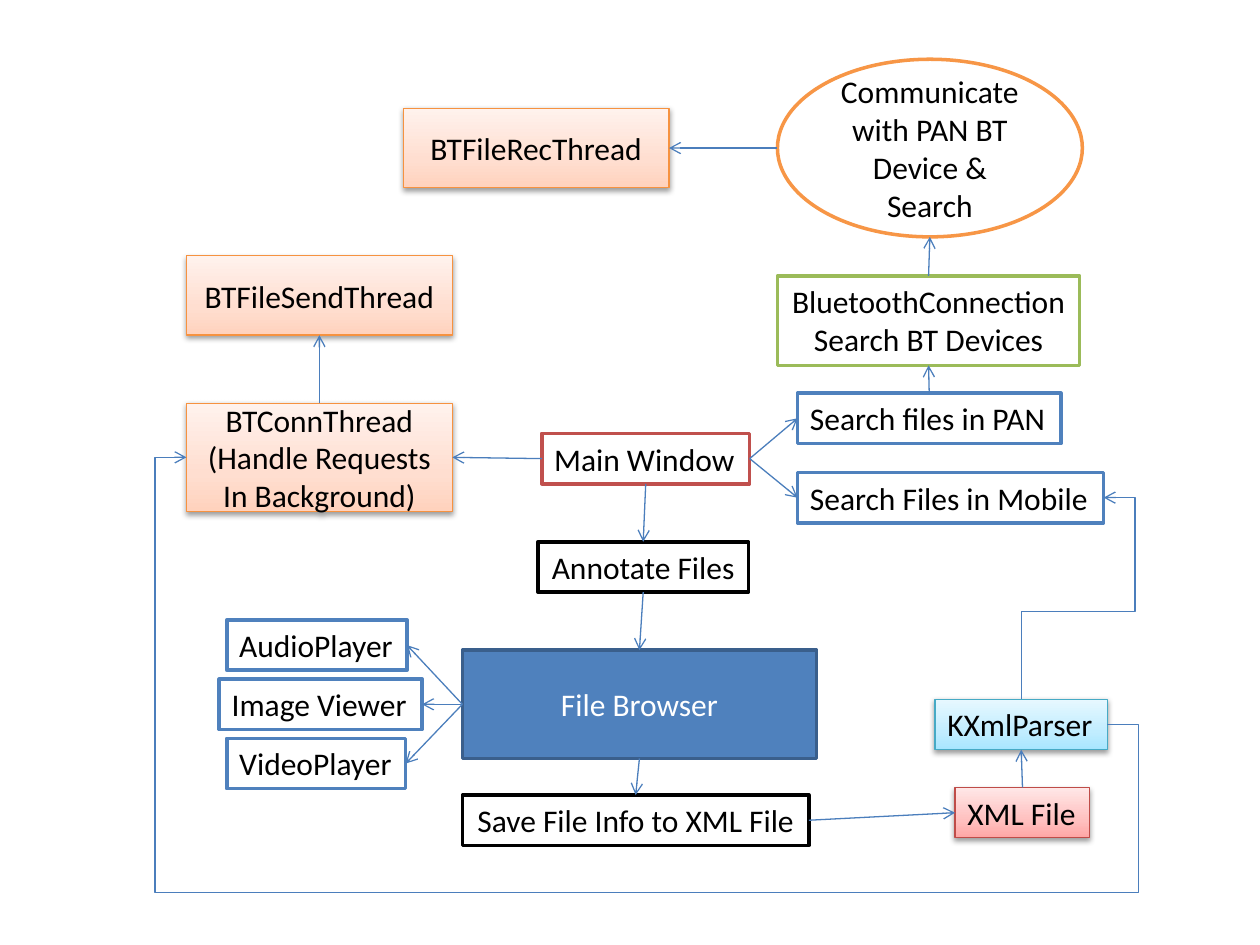
from dataclasses import dataclass
from typing import Optional

from lxml import etree
from pptx import Presentation
from pptx import util as u
from pptx.dml.color import RGBColor
from pptx.enum import shapes, text
from pptx.oxml.ns import qn

TOP, LEFT, BOTTOM, RIGHT = range(4)
LINK_COLOR = "4B7EBC"


@dataclass(frozen=True)
class Style:
    line: str
    fills: tuple[str, ...] = ("FFFFFF",)
    weight: float = 2
    ink: str = "000000"


@dataclass(frozen=True)
class Node:
    name: str
    label: str
    left: float
    top: float
    width: float
    height: float
    style: Style
    centred: bool = True
    hugs_text: bool = False
    shape: shapes.MSO_SHAPE = shapes.MSO_SHAPE.RECTANGLE


@dataclass(frozen=True)
class Link:
    start: str
    start_side: int
    end: str
    end_side: int


@dataclass(frozen=True)
class Bend:
    """Preset geometry of an elbow link; quarter_turn means it leaves vertically."""
    preset: str
    adjustments: tuple[int, ...]
    quarter_turn: bool = False


THREAD = Style("F69240", ("FFD2BD", "FFDED0", "FFF2ED"), 0.75)
PARSER = Style("46AAC5", ("A7E6FF", "C1EDFF", "E7F8FF"), 0.75)
XML = Style("BF4C48", ("FFA6A5", "FFC0BF", "FFE7E7"), 0.75)
BLUE, BLACK = Style("4F81BD"), Style("000000")
BROWSER = Style("3A5F8C", ("4F81BD",), ink="FFFFFF")


def label_node(name: str, label: str, left: float, top: float, width: float,
               style: Style, centred: bool = False, height: float = 0.4) -> Node:
    return Node(name, label, left, top, width, height, style, centred, True)


NODES = [
    Node("send", "BTFileSendThread", 1.48, 2.03, 2.11, 0.63, THREAD),
    Node("conn", "BTConnThread\n(Handle Requests In Background)",
         1.48, 3.2, 2.11, 0.86, THREAD),
    Node("receive", "BTFileRecThread", 3.2, 0.86, 2.11, 0.63, THREAD),
    label_node("main", "Main Window", 4.3, 3.44, 1.65, Style("C0504D")),
    label_node("mobile", "Search Files in Mobile", 6.33, 3.75, 2.43, BLUE),
    label_node("pan", "Search files in PAN", 6.33, 3.12, 2.09, BLUE),
    label_node("annotate", "Annotate Files", 4.27, 4.3, 1.67, BLACK, True),
    label_node("bluetooth", "BluetoothConnection\nSearch BT Devices",
               6.17, 2.19, 2.4, Style("9BBB59"), True, 0.71),
    Node("communicate", "Communicate with PAN BT Device & Search",
         6.17, 0.47, 2.42, 1.41, Style("F79646"), shape=shapes.MSO_SHAPE.OVAL),
    Node("browser", "File Browser", 3.67, 5.16, 2.81, 0.86, BROWSER),
    label_node("audio", "AudioPlayer", 1.8, 4.92, 1.43, BLUE),
    label_node("image", "Image Viewer", 1.74, 5.39, 1.61, BLUE),
    label_node("video", "VideoPlayer", 1.8, 5.86, 1.42, BLUE),
    label_node("parser", "KXmlParser", 7.42, 5.55, 1.37, PARSER),
    label_node("save", "Save File Info to XML File", 3.67, 6.31, 2.75, BLACK, True),
    label_node("xml", "XML File", 7.58, 6.25, 1.07, XML),
]

LINKS = [
    Link("main", LEFT, "conn", RIGHT),
    Link("main", RIGHT, "mobile", LEFT),
    Link("main", RIGHT, "pan", LEFT),
    Link("main", BOTTOM, "annotate", TOP),
    Link("pan", TOP, "bluetooth", BOTTOM),
    Link("bluetooth", TOP, "communicate", BOTTOM),
    Link("communicate", LEFT, "receive", RIGHT),
    Link("browser", LEFT, "audio", RIGHT),
    Link("browser", LEFT, "image", RIGHT),
    Link("browser", LEFT, "video", RIGHT),
    Link("annotate", BOTTOM, "browser", TOP),
    Link("conn", TOP, "send", BOTTOM),
    Link("browser", BOTTOM, "save", TOP),
    Link("save", RIGHT, "xml", LEFT),
    Link("xml", TOP, "parser", BOTTOM),
]

BENT_LINKS = [
    (Link("parser", TOP, "mobile", RIGHT),
     Bend("bentConnector4", (43700, 138000), True)),
    (Link("parser", RIGHT, "conn", LEFT),
     Bend("bentConnector5", (-3400, -63000, 103400))),
]


def rgb(value: str) -> RGBColor:
    return RGBColor.from_string(value)


def add_color(parent, value: str):
    return etree.SubElement(parent, qn("a:srgbClr"), val=value)


def fill_gradient(box, colors: tuple[str, ...]) -> None:
    """Blend three colours from the bottom up and cast a soft shadow."""
    box.fill.gradient()
    box.fill.gradient_angle = 90
    stops = box._element.spPr.find(".//" + qn("a:gsLst"))
    for stop in list(stops):
        stops.remove(stop)
    for position, color in zip((0, 35000, 100000), colors):
        add_color(etree.SubElement(stops, qn("a:gs"), pos=str(position)), color)
    effects = box._element.spPr.find(qn("a:effectLst"))
    shadow = etree.SubElement(effects, qn("a:outerShdw"), blurRad="40000",
                              dist="20000", dir="5400000", rotWithShape="0")
    etree.SubElement(add_color(shadow, "000000"), qn("a:alpha"), val="38000")


def draw_node(page, node: Node):
    box = page.shapes.add_shape(node.shape, u.Inches(node.left), u.Inches(node.top),
                                u.Inches(node.width), u.Inches(node.height))
    box.shadow.inherit = False
    box.line.color.rgb = rgb(node.style.line)
    box.line.width = u.Pt(node.style.weight)
    if len(node.style.fills) > 1:
        fill_gradient(box, node.style.fills)
    else:
        box.fill.solid()
        box.fill.fore_color.rgb = rgb(node.style.fills[0])
    frame = box.text_frame
    frame.text = node.label
    frame.word_wrap = not node.hugs_text
    frame.vertical_anchor = text.MSO_ANCHOR.MIDDLE
    if node.hugs_text:
        frame.vertical_anchor = text.MSO_ANCHOR.TOP
        frame.auto_size = text.MSO_AUTO_SIZE.SHAPE_TO_FIT_TEXT
    for para in frame.paragraphs:
        para.alignment = text.PP_ALIGN.CENTER if node.centred else text.PP_ALIGN.LEFT
        for span in para.runs:
            span.font.name = "Calibri"
            span.font.size = u.Pt(18)
            span.font.color.rgb = rgb(node.style.ink)
    return box


def side_point(box, side: int) -> tuple[int, int]:
    across, down = ((0.5, 0), (0, 0.5), (0.5, 1), (1, 0.5))[side]
    return int(box.left + across * box.width), int(box.top + down * box.height)


def bend_link(line, bend: Bend) -> None:
    frame = line._element.spPr.find(qn("a:xfrm"))
    if bend.quarter_turn:
        width, height = line.width, line.height
        line.left += (width - height) // 2
        line.top += (height - width) // 2
        line.width, line.height = height, width
        line.rotation = 90
    frame.set("flipH", "1")
    frame.set("flipV", "1")
    geometry = line._element.spPr.find(qn("a:prstGeom"))
    geometry.set("prst", bend.preset)
    guides = geometry.find(qn("a:avLst"))
    for number, value in enumerate(bend.adjustments, 1):
        etree.SubElement(guides, qn("a:gd"), name=f"adj{number}", fmla=f"val {value}")


def draw_link(page, boxes: dict, link: Link, bend: Optional[Bend] = None) -> None:
    start, end = boxes[link.start], boxes[link.end]
    kind = shapes.MSO_CONNECTOR.ELBOW if bend else shapes.MSO_CONNECTOR.STRAIGHT
    line = page.shapes.add_connector(kind, *side_point(start, link.start_side),
                                     *side_point(end, link.end_side))
    if start.auto_shape_type == shapes.MSO_SHAPE.RECTANGLE:
        line.begin_connect(start, link.start_side)
    if end.auto_shape_type == shapes.MSO_SHAPE.RECTANGLE:
        line.end_connect(end, link.end_side)
    if bend:
        bend_link(line, bend)
    line.line.color.rgb = rgb(LINK_COLOR)
    line.line.width = u.Pt(0.75)
    properties = line._element.spPr
    etree.SubElement(properties.find(qn("a:ln")), qn("a:tailEnd"), type="arrow")
    etree.SubElement(properties, qn("a:effectLst"))


def main() -> None:
    deck = Presentation()
    deck.slide_width, deck.slide_height = u.Inches(10), u.Inches(7.5)
    page = deck.slides.add_slide(deck.slide_layouts[6])
    boxes = {node.name: draw_node(page, node) for node in NODES}
    for link in LINKS:
        draw_link(page, boxes, link)
    for link, bend in BENT_LINKS:
        draw_link(page, boxes, link, bend)
    deck.save("out.pptx")


if __name__ == "__main__":
    main()
